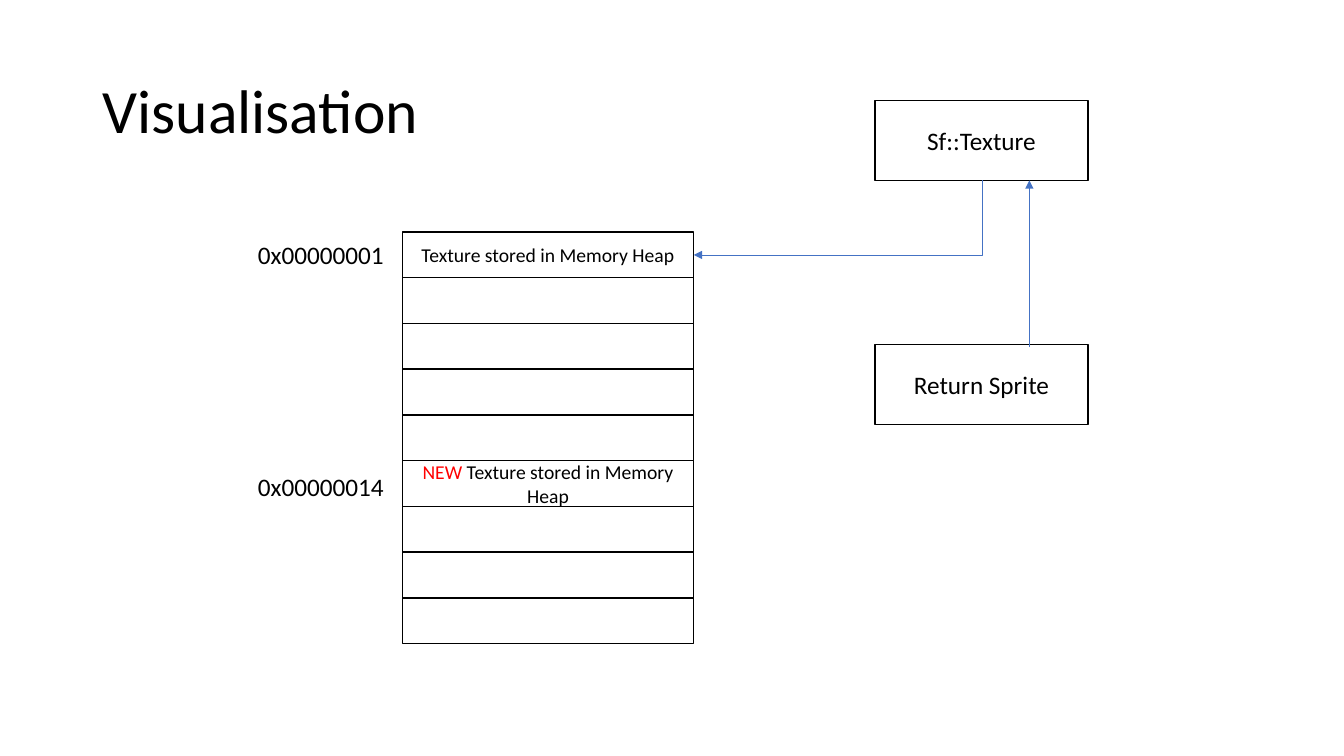
import pptx
import pptx.dml.color
import pptx.enum.shapes
import pptx.enum.text
import pptx.oxml
import pptx.oxml.ns
import pptx.util

Inches = pptx.util.Inches
Pt = pptx.util.Pt
BLACK = pptx.dml.color.RGBColor(0x00, 0x00, 0x00)
WHITE = pptx.dml.color.RGBColor(0xFF, 0xFF, 0xFF)
RED = pptx.dml.color.RGBColor(0xFF, 0x00, 0x00)
BLUE = pptx.dml.color.RGBColor(0x44, 0x72, 0xC4)

HEAP_LEFT, HEAP_TOP, CELL_WIDTH, CELL_HEIGHT = 3.99, 2.3, 2.89, 0.454
HEAP_CELLS = 9
HEAP_TEXT = {
    0: [("Texture stored in Memory Heap", BLACK)],
    5: [("NEW", RED), (" Texture stored in Memory Heap", BLACK)],
}


def add_runs(paragraph, runs, size):
    for text, color in runs:
        run = paragraph.add_run()
        run.text = text
        run.font.name = "Calibri"
        run.font.size = Pt(size)
        run.font.color.rgb = color


def add_label(slide, text, left, top, width, height, size):
    label = slide.shapes.add_textbox(
        Inches(left), Inches(top), Inches(width), Inches(height))
    label.text_frame.word_wrap = True
    add_runs(label.text_frame.paragraphs[0], [(text, BLACK)], size)
    return label.text_frame


def add_box(slide, left, top, width, height, runs, size, fill=None):
    box = slide.shapes.add_shape(
        pptx.enum.shapes.MSO_SHAPE.RECTANGLE,
        Inches(left), Inches(top), Inches(width), Inches(height))
    box.shadow.inherit = False
    if fill is None:
        box.fill.background()
    else:
        box.fill.solid()
        box.fill.fore_color.rgb = fill
    box.line.color.rgb = BLACK
    box.line.width = Pt(1)
    frame = box.text_frame
    frame.word_wrap = True
    frame.vertical_anchor = pptx.enum.text.MSO_ANCHOR.MIDDLE
    frame.paragraphs[0].alignment = pptx.enum.text.PP_ALIGN.CENTER
    add_runs(frame.paragraphs[0], runs, size)


def add_arrow(slide, kind, start, end):
    arrow = slide.shapes.add_connector(
        kind, *(Inches(value) for value in start + end))
    arrow.line.color.rgb = BLUE
    arrow.line.width = Pt(0.5)
    namespace = pptx.oxml.ns.nsdecls("a")
    arrow.line._get_or_add_ln().append(
        pptx.oxml.parse_xml(f'<a:tailEnd {namespace} type="triangle"/>'))
    properties = arrow._element.spPr
    properties.append(pptx.oxml.parse_xml(f"<a:effectLst {namespace}/>"))
    return properties


def add_corner_arrow(slide, start, end):
    center_x, center_y = (start[0] + end[0]) / 2, (start[1] + end[1]) / 2
    half_width, half_height = (end[1] - start[1]) / 2, (start[0] - end[0]) / 2
    properties = add_arrow(
        slide, pptx.enum.shapes.MSO_CONNECTOR.ELBOW,
        (center_x - half_width, center_y - half_height),
        (center_x + half_width, center_y + half_height))
    properties.find(pptx.oxml.ns.qn("a:xfrm")).set("rot", str(90 * 60000))
    properties.find(pptx.oxml.ns.qn("a:prstGeom")).set("prst", "bentConnector2")


def add_heap(slide):
    for index in range(HEAP_CELLS):
        add_box(slide, HEAP_LEFT, HEAP_TOP + index * CELL_HEIGHT,
                CELL_WIDTH, CELL_HEIGHT, HEAP_TEXT.get(index, []), 14)


def main():
    presentation = pptx.Presentation()
    presentation.slide_width = Inches(13.33)
    presentation.slide_height = Inches(7.5)
    slide = presentation.slides.add_slide(presentation.slide_layouts[6])

    title = add_label(slide, "Visualisation", 0.92, 0.4, 11.5, 1.45, 44)
    title.vertical_anchor = pptx.enum.text.MSO_ANCHOR.MIDDLE
    title.paragraphs[0].line_spacing = 0.9

    add_heap(slide)
    for address, top in (("0x00000001", 2.33), ("0x00000014", 4.63)):
        add_label(slide, address, 2.46, top, 1.53, 0.4, 18)
    for name, top in (("Sf::Texture", 1), ("Return Sprite", 3.42)):
        add_box(slide, 8.68, top, 2.11, 0.79, [(name, BLACK)], 18, WHITE)

    add_corner_arrow(slide, (9.74, 1.79), (HEAP_LEFT + CELL_WIDTH, 2.53))
    add_arrow(slide, pptx.enum.shapes.MSO_CONNECTOR.STRAIGHT,
              (10.21, 3.44), (10.21, 1.79))

    presentation.save("out.pptx")


if __name__ == "__main__":
    main()
